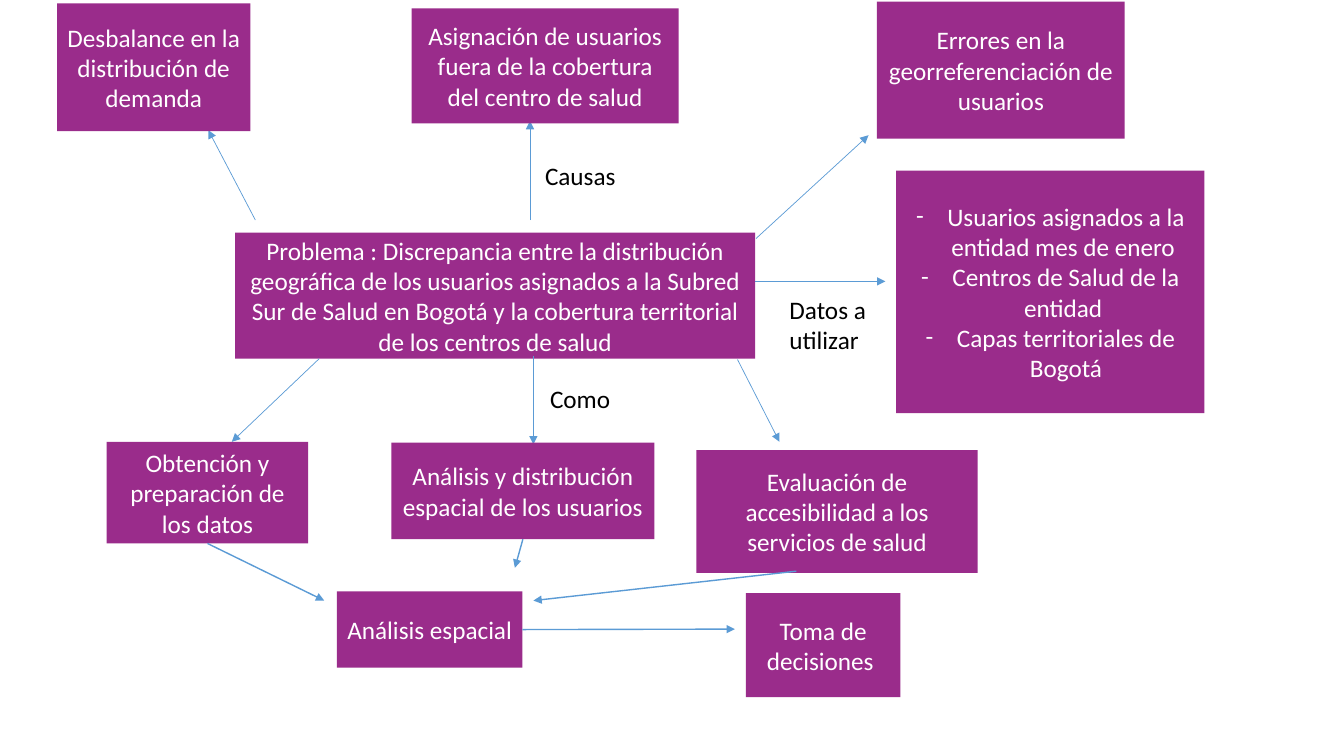
from dataclasses import dataclass

from lxml.etree import SubElement
from pptx import Presentation
from pptx.dml.color import RGBColor
from pptx.enum.shapes import MSO_CONNECTOR, MSO_SHAPE
from pptx.enum.text import MSO_ANCHOR, MSO_AUTO_SIZE, PP_ALIGN
from pptx.oxml.ns import qn
from pptx.util import Inches, Pt

COLS, ROWS = 160, 90
BOTTOM, RIGHT = 2, 3


@dataclass(frozen=True)
class Theme:
    box: RGBColor = RGBColor(0x9A, 0x2C, 0x8B)
    box_text: RGBColor = RGBColor(0xFF, 0xFF, 0xFF)
    label_text: RGBColor = RGBColor(0, 0, 0)
    arrow: RGBColor = RGBColor(0x5B, 0x9B, 0xD5)
    font: str = "Calibri"
    size: Pt = Pt(18)
    thin: Pt = Pt(0.5)
    thick: Pt = Pt(1)
    bullet_indent: Inches = Inches(0.31)


THEME = Theme()


class Region:
    def __init__(self, prs, slide, left, top):
        self.shapes = slide.shapes
        self.left, self.top = left, top
        self.col, self.row = prs.slide_width / COLS, prs.slide_height / ROWS

    def point(self, x, y):
        return round((self.left + x) * self.col), round((self.top + y) * self.row)

    def place(self, x, y, w, h):
        return *self.point(x, y), round(w * self.col), round(h * self.row)


def apply(obj, formats):
    for name, value in formats.items():
        setattr(obj, name, value)


def write(tf, lines, color, align, bullet=None):
    for i, line in enumerate(lines):
        p = tf.paragraphs[0] if i == 0 else tf.add_paragraph()
        p.alignment = align
        if bullet:
            pPr = p._p.get_or_add_pPr()
            pPr.set("marL", str(THEME.bullet_indent))
            pPr.set("indent", str(-THEME.bullet_indent))
            SubElement(pPr, qn("a:buFont")).set("typeface", THEME.font)
            SubElement(pPr, qn("a:buChar")).set("char", bullet)
        r = p.add_run()
        r.text = line
        apply(r.font, {"name": THEME.font, "size": THEME.size})
        r.font.color.rgb = color


def add_box(region, place, *lines, bullet=None):
    sp = region.shapes.add_shape(MSO_SHAPE.RECTANGLE, *region.place(*place))
    sp.shadow.inherit = False
    sp.fill.solid()
    sp.fill.fore_color.rgb = THEME.box
    sp.line.fill.background()
    apply(sp.text_frame, {"word_wrap": True, "vertical_anchor": MSO_ANCHOR.MIDDLE})
    write(sp.text_frame, lines, THEME.box_text, PP_ALIGN.CENTER, bullet)
    return sp


def add_label(region, place, text):
    tf = region.shapes.add_textbox(*region.place(*place)).text_frame
    apply(tf, {"word_wrap": True, "auto_size": MSO_AUTO_SIZE.SHAPE_TO_FIT_TEXT})
    write(tf, [text], THEME.label_text, PP_ALIGN.LEFT)


def add_arrow(region, start, end, width=THEME.thin, source=None):
    cx = region.shapes.add_connector(
        MSO_CONNECTOR.STRAIGHT, *region.point(*start), *region.point(*end))
    cx.line.color.rgb = THEME.arrow
    cx.line.width = width
    SubElement(cx.line._get_or_add_ln(), qn("a:tailEnd")).set("type", "triangle")
    SubElement(cx._element.spPr, qn("a:effectLst"))
    if source:
        cx.begin_connect(*source)


def add_problem(region):
    add_box(region, (0, 0, 61.9, 15),
            "Problema : Discrepancia entre la distribución geográfica de los usuarios "
            "asignados a la Subred Sur de Salud en Bogotá y la cobertura territorial "
            "de los centros de salud")


def add_causes(region):
    for start, end in (((63.1, 26.2), (63.1, 14.4)),
                       ((90, 28.4), (103.4, 16.1)),
                       ((30.4, 26.2), (24.8, 15.5))):
        add_arrow(region, start, end)
    add_label(region, (63.7, 18.5, 14.2, 4.8), "Causas")
    for place, text in (
            ((6.8, 0.4, 23, 15.2), "Desbalance en la distribución de demanda"),
            ((49, 1, 31.8, 13.7),
             "Asignación de usuarios fuera de la cobertura del centro de salud"),
            ((104.4, 0.2, 29.5, 16.3), "Errores en la georreferenciación de usuarios")):
        add_box(region, place, text)


def add_data(region):
    add_arrow(region, (0, 13.2), (15.5, 13.2))
    add_label(region, (2.9, 14.1, 14.2, 8.5), "Datos a utilizar")
    add_box(region, (16.8, 0, 36.7, 28.9),
            "Usuarios asignados a la entidad mes de enero ",
            "Centros de Salud de la entidad ",
            "Capas territoriales de Bogotá", bullet="-")


def add_method(region):
    for start, end in (((25.3, 0.3), (14.9, 10.2)),
                       ((50.8, 0), (50.8, 10.5)),
                       ((75.1, 0.4), (80.1, 10.2))):
        add_arrow(region, start, end)
    add_label(region, (51.6, 2.7, 15.7, 4.8), "Como")
    return [add_box(region, place, text) for place, text in (
        ((0, 10.2, 24, 12.1), "Obtención y preparación de los datos"),
        ((33.9, 10.3, 31.3, 11.5), "Análisis y distribución espacial de los usuarios"),
        ((70.2, 11.2, 33.5, 14.6), "Evaluación de accesibilidad a los servicios de salud"))]


def add_outcome(region, preparation, distribution):
    add_box(region, (64, 6.4, 18.4, 12.4), "Toma de decisiones ")
    analysis = add_box(region, (15.3, 6.2, 22.1, 9.1), "Análisis espacial ")
    for start, end, source in (
            ((0, 0), (13.8, 7.3), (preparation, BOTTOM)),
            ((37.4, 0), (36.5, 3.4), (distribution, BOTTOM)),
            ((70, 3.8), (38.7, 7.3), None),
            ((37.4, 10.8), (62.7, 10.7), (analysis, RIGHT))):
        add_arrow(region, start, end, THEME.thick, source)


def main():
    prs = Presentation()
    apply(prs, {"slide_width": Inches(13.33), "slide_height": Inches(7.5)})
    s = prs.slides.add_slide(prs.slide_layouts[6])
    add_problem(Region(prs, s, 28, 27.7))
    add_causes(Region(prs, s, 0, 0))
    add_data(Region(prs, s, 89.9, 20.3))
    preparation, distribution, _ = add_method(Region(prs, s, 12.7, 42.4))
    add_outcome(Region(prs, s, 24.8, 64.2), preparation, distribution)
    prs.save("out.pptx")


if __name__ == "__main__":
    main()
